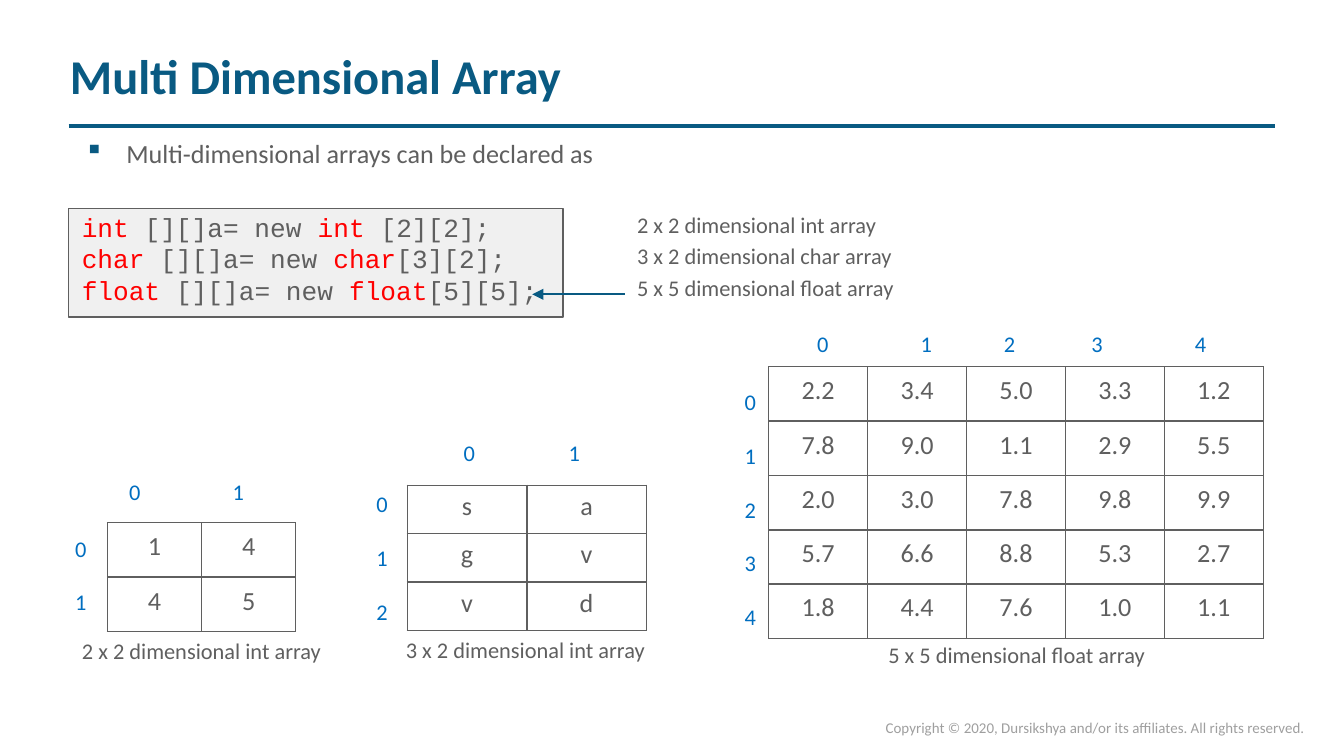
from dataclasses import dataclass

from pptx import Presentation
from pptx.dml.color import RGBColor as RGB
from pptx.enum.shapes import MSO_CONNECTOR as CONN, MSO_SHAPE as SHAPE
from pptx.enum.text import MSO_ANCHOR as ANCHOR, MSO_AUTO_SIZE as FIT, PP_ALIGN as ALIGN
from pptx.oxml.ns import qn
from pptx.util import Emu, Inches, Pt
from lxml.etree import SubElement

COLS, ROWS = 100, 56.25  # slide grid, square cells
UNIT = Inches(10) / COLS
ROW_LABEL_STEP = 4


@dataclass(frozen=True)
class Theme:
    body: str = "Calibri"
    code: str = "Courier New"
    navy: str = "095A82"
    blue: str = "006EC0"
    red: str = "FF0000"
    gray: str = "5F5F5F"
    pale: str = "F0F0F0"
    faint: str = "9F9F9F"
    title: float = 26
    text: float = 14
    label: float = 12
    small: float = 8


@dataclass(frozen=True)
class Box:
    x: float
    y: float
    w: float
    h: float

    def inner(self, dx, dy, w, h):
        return Box(self.x + dx, self.y + dy, w, h)

    def emu(self):
        return [grid(v) for v in (self.x, self.y, self.w, self.h)]


T = Theme()


def grid(n):
    return Emu(round(n * UNIT))


def style(r, size, color, font=T.body, bold=False):
    r.font.name, r.font.size, r.font.bold = font, Pt(size), bold
    r.font.color.rgb = RGB.from_string(color)


def set_frame(tf, left=0.1, top=0.1, wrap=False):
    tf.margin_left, tf.margin_top = grid(left), grid(top)
    tf.margin_right = tf.margin_bottom = 0
    tf.word_wrap, tf.auto_size = wrap, FIT.NONE
    tf.vertical_anchor = ANCHOR.TOP


def add_text(slide, box, lines, size=T.label, color=T.gray, gap=0):
    tf = slide.shapes.add_textbox(*box.emu()).text_frame
    set_frame(tf)
    tf.text = "\n".join(lines)
    for i, p in enumerate(tf.paragraphs):
        if i:
            p.space_before = Pt(gap)
        style(p.runs[0], size, color)
    return tf


def add_line(slide, x1, y1, x2, y2, width):
    s = slide.shapes.add_connector(CONN.STRAIGHT, *map(grid, (x1, y1, x2, y2)))
    s.line.color.rgb, s.line.width = RGB.from_string(T.navy), Pt(width)
    SubElement(s._element.spPr, qn("a:effectLst"))
    return s


def add_header(slide, box, title):
    sp = slide.shapes.title
    sp.left, sp.top, sp.width, sp.height = box.inner(0, 0, box.w, 4.6).emu()
    tf = sp.text_frame
    set_frame(tf)
    tf.text = title
    p = tf.paragraphs[0]
    p.alignment = ALIGN.LEFT
    style(p.runs[0], T.title, T.navy, bold=True)
    bottom = box.y + box.h
    add_line(slide, box.x, bottom, box.x + box.w, bottom, 2.28)


def add_bullet(slide, box, text):
    p = add_text(slide, box, [text], T.text).paragraphs[0]
    pPr = p._p.get_or_add_pPr()
    pPr.set("marL", str(grid(3.3)))
    pPr.set("indent", str(-grid(3.1)))
    color = SubElement(pPr, qn("a:buClr"))
    SubElement(color, qn("a:srgbClr")).set("val", T.navy)
    SubElement(pPr, qn("a:buChar")).set("char", "▪")


def add_code(slide, box, declarations):
    s = slide.shapes.add_shape(SHAPE.RECTANGLE, *box.emu())
    s.shadow.inherit = False
    s.fill.solid()
    s.fill.fore_color.rgb = RGB.from_string(T.pale)
    s.line.color.rgb, s.line.width = RGB.from_string(T.gray), Pt(0.72)
    tf = s.text_frame
    set_frame(tf, left=1, top=0.2)
    for i, (kind, size) in enumerate(declarations):
        p = tf.add_paragraph() if i else tf.paragraphs[0]
        p.alignment, p.line_spacing = ALIGN.LEFT, Pt(16.9)
        for text in (kind, " [][]a= new ", kind, size):
            r = p.add_run()
            r.text = text
            style(r, T.text, T.red if text == kind else T.gray, T.code)


def add_notes_with_arrow(slide, box, notes):
    add_text(slide, box, notes, gap=2.4)
    y = box.y + 6.3
    s = add_line(slide, box.x - 0.8, y, box.x - 7.7, y, 1)
    SubElement(s.line._get_or_add_ln(), qn("a:tailEnd")).set("type", "triangle")


def set_borders(cell, outer):
    """Draw the four cell edges, thinner on the table's outline."""
    tcPr = cell._tc.get_or_add_tcPr()
    for i, (side, edge) in enumerate(outer.items()):
        ln = tcPr.makeelement(qn(f"a:ln{side}"), {"w": str(Pt(0.75 if edge else 1))})
        SubElement(SubElement(ln, qn("a:solidFill")), qn("a:srgbClr")).set("val", T.gray)
        tcPr.insert(i, ln)


def add_array(slide, box, values, top, heads, head_y, side, caption):
    rows, cols = len(values), len(values[0])
    # Cells
    table = slide.shapes.add_table(rows, cols, *box.emu()).table
    table.first_row = table.horz_banding = False
    for column in table.columns:
        column.width = grid(box.w / cols)
    for i, row in enumerate(values):
        table.rows[i].height = grid(box.h / rows)
        for j, value in enumerate(row):
            cell = table.cell(i, j)
            cell.fill.background()
            cell.margin_left = cell.margin_right = cell.margin_bottom = 0
            cell.margin_top = grid(top)
            cell.text = value
            p = cell.text_frame.paragraphs[0]
            p.alignment = ALIGN.CENTER
            style(p.runs[0], T.text, T.gray)
            set_borders(cell, {"L": j == 0, "R": j == cols - 1,
                               "T": i == 0, "B": i == rows - 1})
    # Column and row indexes
    spots = [(x, head_y) for x in heads]
    spots += [(side[0], side[1] + i * ROW_LABEL_STEP) for i in range(rows)]
    for n, (dx, dy) in enumerate(spots):
        index = n if n < cols else n - cols
        add_text(slide, box.inner(dx, dy, 1.1, 2.3), [str(index)], color=T.blue)
    # Caption
    text, dx, dy = caption
    add_text(slide, box.inner(dx, box.h + dy, 19, 2.3), [text])


def main():
    prs = Presentation()
    prs.slide_width, prs.slide_height = grid(COLS), grid(ROWS)
    slide = prs.slides.add_slide(prs.slide_layouts[5])

    add_header(slide, Box(5.1, 3.3, 89.8, 6.1), "Multi Dimensional Array")
    add_bullet(slide, Box(6, 10.1, 40, 2.6), "Multi-dimensional arrays can be declared as")
    add_code(slide, Box(5.1, 15.5, 36.8, 8.1),
             [("int", " [2][2];"), ("char", "[3][2];"), ("float", "[5][5];")])
    add_notes_with_arrow(slide, Box(47.3, 15.6, 19.2, 7.2), [
        "2 x 2 dimensional int array",
        "3 x 2 dimensional char array",
        "5 x 5 dimensional float array"])

    add_array(slide, Box(8, 38.9, 14, 8.1), ["14", "45"], top=0.6,
              heads=[1.5, 9.2], head_y=-3.4, side=(-2.5, 0.8),
              caption=("2 x 2 dimensional int array", -2, 0.3))
    add_array(slide, Box(30.3, 36.1, 17.8, 10.8), ["sa", "gv", "vd"], top=0.4,
              heads=[4.1, 11.9], head_y=-3.5, side=(-2.4, 0.3),
              caption=("3 x 2 dimensional int array", -0.2, 0.3))
    floats = ["2.2 3.4 5.0 3.3 1.2", "7.8 9.0 1.1 2.9 5.5", "2.0 3.0 7.8 9.8 9.9",
              "5.7 6.6 8.8 5.3 2.7", "1.8 4.4 7.6 1.0 1.1"]
    add_array(slide, Box(57.2, 27.3, 36.8, 20.2), [row.split() for row in floats], top=0.6,
              heads=[3.5, 11.2, 17.4, 23.9, 31.6], head_y=-2.8, side=(-1.9, 1.5),
              caption=("5 x 5 dimensional float array", 8.8, 0.1))

    add_text(slide, Box(65.8, 53.4, 32.1, 1.4),
             ["Copyright © 2020, Dursikshya and/or its affiliates. All rights reserved."],
             T.small, T.faint)
    prs.save("out.pptx")


if __name__ == "__main__":
    main()
